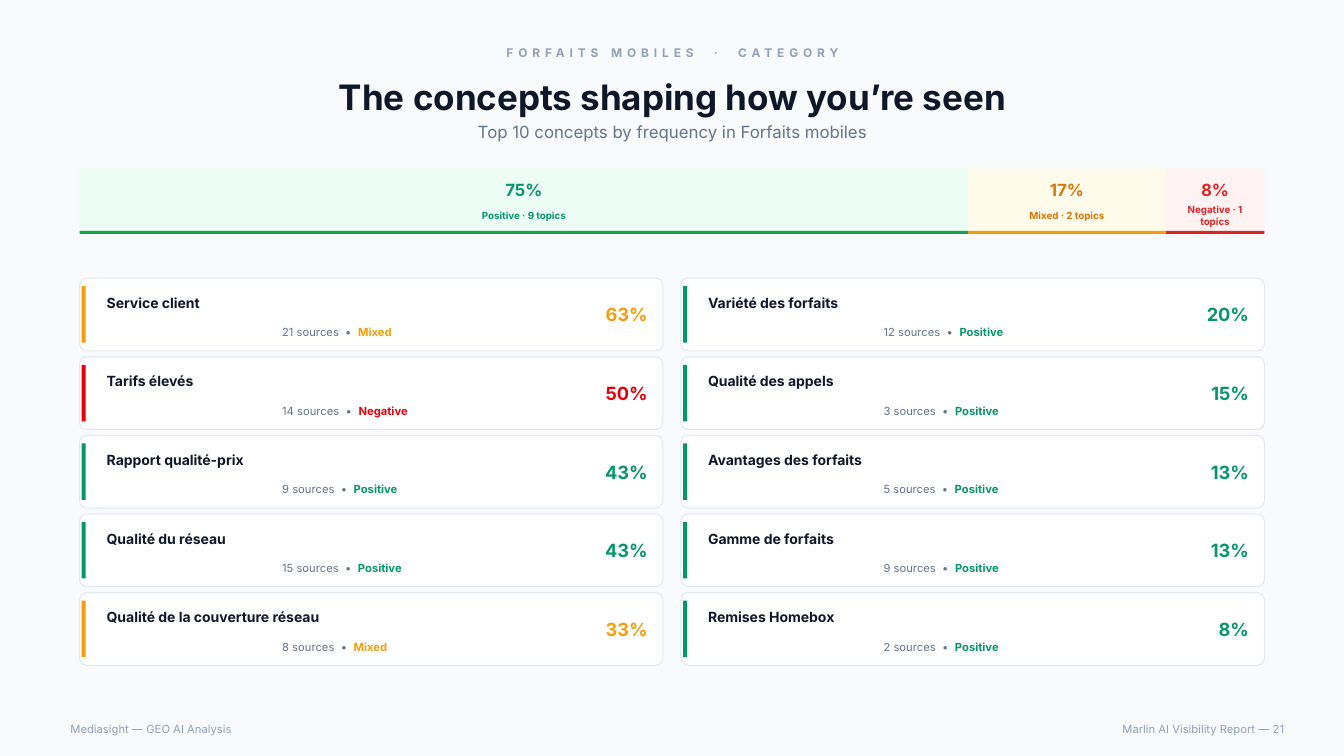
from itertools import accumulate
from pptx import Presentation, util as u
from pptx.dml.color import RGBColor
from pptx.enum import shapes, text

NAVY = RGBColor(0x0F, 0x17, 0x2A)
SLATE = RGBColor(0x62, 0x74, 0x8E)
MUTED = RGBColor(0x90, 0xA1, 0xB9)
PAGE = RGBColor(0xF8, 0xFA, 0xFC)
WHITE = RGBColor(0xFF, 0xFF, 0xFF)
BORDER = RGBColor(0xE2, 0xE8, 0xF0)
GREEN = RGBColor(0x05, 0x96, 0x69)
GREEN_RULE = RGBColor(0x16, 0xA3, 0x4A)
MINT = RGBColor(0xEC, 0xFD, 0xF5)
AMBER = RGBColor(0xF5, 0x9E, 0x0B)
AMBER_DARK = RGBColor(0xD9, 0x77, 0x06)
CREAM = RGBColor(0xFF, 0xFB, 0xEB)
RED = RGBColor(0xE7, 0x00, 0x0B)
RED_DARK = RGBColor(0xDC, 0x26, 0x26)
ROSE = RGBColor(0xFE, 0xF2, 0xF2)

EYEBROW = "FORFAITS MOBILES  ·  CATEGORY"
TITLE = "The concepts shaping how you’re seen"
SUBTITLE = "Top 10 concepts by frequency in Forfaits mobiles"
FOOTER_LEFT = "Mediasight — GEO AI Analysis"
FOOTER_RIGHT = "Marlin AI Visibility Report — 21"
SEGMENTS = [
    ("Positive", 9, "75%", MINT, GREEN_RULE, GREEN),
    ("Mixed", 2, "17%", CREAM, AMBER, AMBER_DARK),
    ("Negative", 1, "8%", ROSE, RED_DARK, RED_DARK),
]
TONES = {"Positive": GREEN, "Mixed": AMBER, "Negative": RED}
CONCEPTS = [
    ("Service client", 21, "Mixed", "63%"),
    ("Tarifs élevés", 14, "Negative", "50%"),
    ("Rapport qualité-prix", 9, "Positive", "43%"),
    ("Qualité du réseau", 15, "Positive", "43%"),
    ("Qualité de la couverture réseau", 8, "Mixed", "33%"),
    ("Variété des forfaits", 12, "Positive", "20%"),
    ("Qualité des appels", 3, "Positive", "15%"),
    ("Avantages des forfaits", 5, "Positive", "13%"),
    ("Gamme de forfaits", 9, "Positive", "13%"),
    ("Remises Homebox", 2, "Positive", "8%"),
]

W, H = 13.33, 7.5
LEFT, WIDTH = 0.79, 11.75
HEAD_X, HEAD_W = 0.6, 12.14
BAR_Y, BAR_H, RULE_H = 1.67, 0.65, 0.03
ROWS, GRID_Y, PITCH, CARD_H = 5, 2.76, 0.78, 0.72
GAP, RADIUS = 0.18, 0.07
CARD_W = (WIDTH - GAP) / 2
LEFT_AL, CENTER, RIGHT = text.PP_ALIGN.LEFT, text.PP_ALIGN.CENTER, text.PP_ALIGN.RIGHT
TOP, MIDDLE = text.MSO_ANCHOR.TOP, text.MSO_ANCHOR.MIDDLE


def place(sp, *box):
    for name, value in zip(("left", "top", "width", "height"), box):
        setattr(sp, name, u.Inches(value))


def write(sp, runs, size, align=LEFT_AL, anchor=MIDDLE):
    tf = sp.text_frame
    frame = {"word_wrap": True, "auto_size": text.MSO_AUTO_SIZE.NONE, "vertical_anchor": anchor}
    for name, value in frame.items():
        setattr(tf, name, value)
    p = tf.paragraphs[0]
    p.alignment = align
    for words, color, bold in runs:
        r = p.add_run()
        r.text = words
        for name, value in {"name": "Inter", "size": u.Pt(size), "bold": bold}.items():
            setattr(r.font, name, value)
        r.font.color.rgb = color
    return p


def label(s, box, runs, size, align=LEFT_AL, anchor=MIDDLE):
    sp = s.shapes.add_textbox(*map(u.Inches, box))
    return write(sp, runs, size, align, anchor)


def block(s, box, fill, kind=shapes.MSO_SHAPE.RECTANGLE):
    sp = s.shapes.add_shape(kind, *map(u.Inches, box))
    sp.shadow.inherit = False
    sp.fill.solid()
    sp.fill.fore_color.rgb = fill
    sp.line.fill.background()
    return sp


def header(s):
    p = label(s, (HEAD_X, 0.4, HEAD_W, 0.25), [(EYEBROW, MUTED, True)], 8.5, CENTER)
    p.runs[0].font._element.set("spc", "350")
    place(s.shapes.title, HEAD_X, 0.68, HEAD_W, 0.56)
    write(s.shapes.title, [(TITLE, NAVY, True)], 25, CENTER)
    label(s, (HEAD_X, 1.18, HEAD_W, 0.25), [(SUBTITLE, SLATE, False)], 12, CENTER)


def footer(s):
    label(s, (HEAD_X, 7.12, 5.97, 0.22), [(FOOTER_LEFT, MUTED, False)], 8)
    label(s, (6.81, 7.12, 6.03, 0.22), [(FOOTER_RIGHT, MUTED, False)], 8, RIGHT)


def sentiment_bar(s):
    counts = [seg[1] for seg in SEGMENTS]
    unit = WIDTH / sum(counts)
    starts = accumulate(counts, initial=0)
    for start, (tone, count, share, fill, rule, ink) in zip(starts, SEGMENTS):
        x, w = LEFT + start * unit, count * unit
        block(s, (x, BAR_Y, w, BAR_H), fill)
        block(s, (x, BAR_Y + BAR_H - RULE_H, w, RULE_H), rule)
        label(s, (x, 1.74, w, 0.28), [(share, ink, True)], 12, CENTER)
        label(s, (x, 2.03, w, 0.22), [(f"{tone} · {count} topics", ink, True)], 7, CENTER)


def concept_cards(s):
    for i, (name, sources, tone, share) in enumerate(CONCEPTS):
        col, row = divmod(i, ROWS)
        x, y = LEFT + col * (CARD_W + GAP), GRID_Y + row * PITCH
        ink = TONES[tone]
        card = block(s, (x, y, CARD_W, CARD_H), WHITE, shapes.MSO_SHAPE.ROUNDED_RECTANGLE)
        card.adjustments[0] = RADIUS / CARD_H
        card.line.color.rgb = BORDER
        card.line.width = u.Pt(0.75)
        block(s, (x + 0.02, y + 0.08, 0.04, 0.56), ink)
        label(s, (x + 0.17, y + 0.11, 4.53, 0.27), [(name, NAVY, True)], 10, anchor=TOP)
        detail = [(f"{sources} sources  •  ", SLATE, False), (tone, ink, True)]
        label(s, (x + 1.91, y + 0.42, 2.79, 0.22), detail, 8, anchor=TOP)
        label(s, (x + 5.01, y, 0.72, CARD_H), [(share, ink, True)], 13, RIGHT)


def main():
    prs = Presentation()
    prs.slide_width, prs.slide_height = u.Inches(W), u.Inches(H)
    s = prs.slides.add_slide(prs.slide_layouts[5])
    s.background.fill.solid()
    s.background.fill.fore_color.rgb = PAGE
    header(s)
    sentiment_bar(s)
    concept_cards(s)
    footer(s)
    prs.save("out.pptx")


if __name__ == "__main__":
    main()
